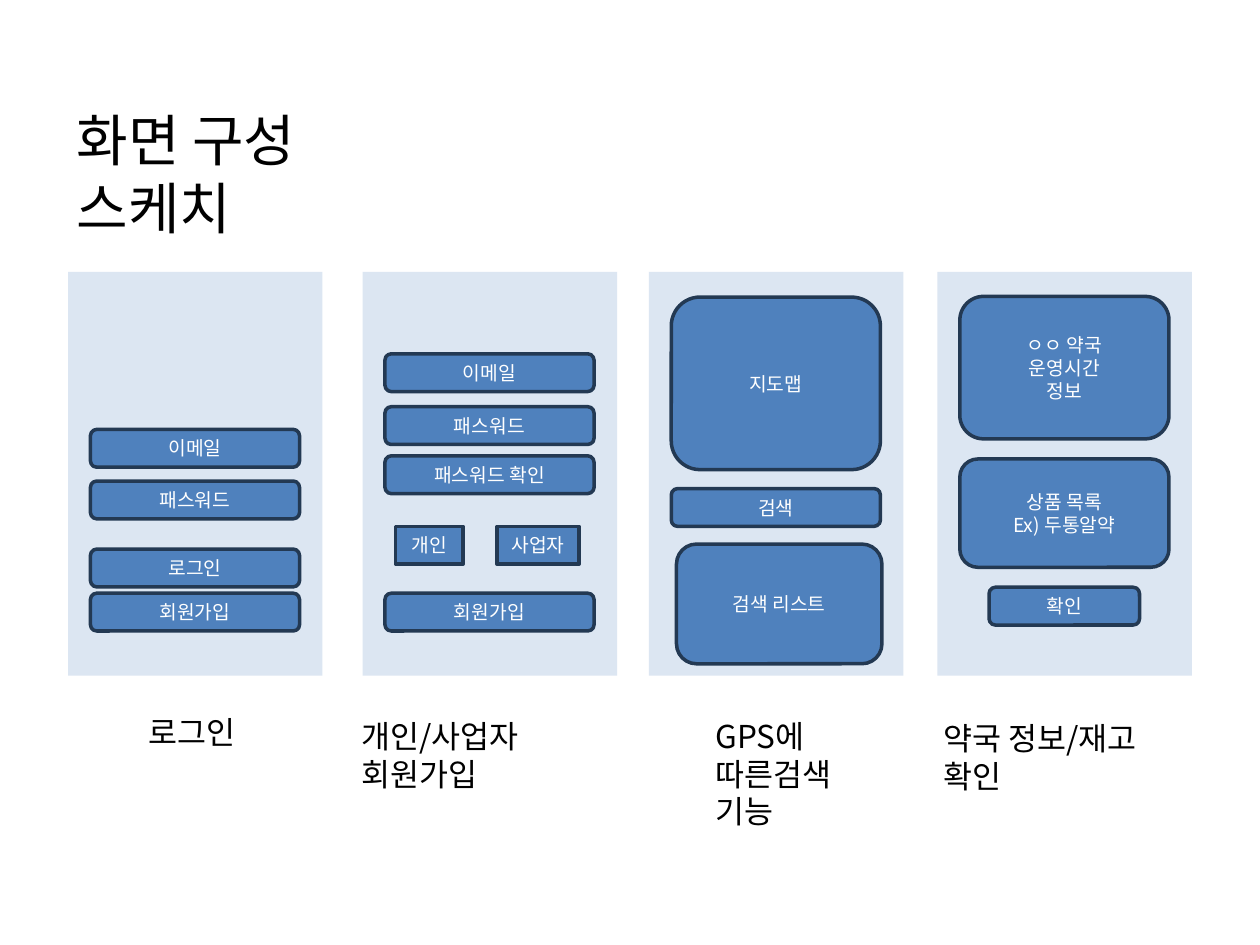
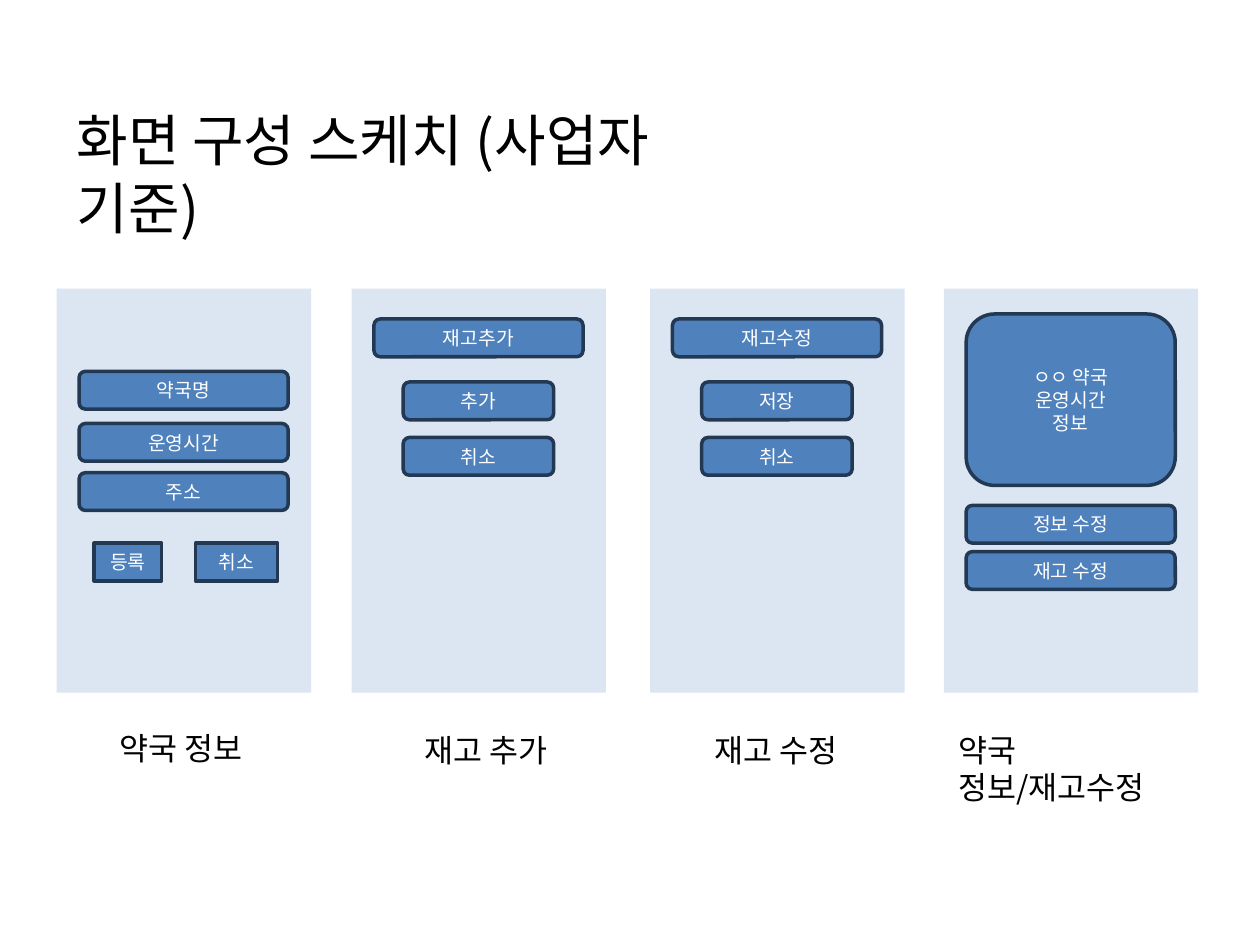
from lxml.etree import SubElement
from pptx import Presentation
from pptx.dml.color import RGBColor
from pptx.enum.shapes import MSO_SHAPE as SHAPE
from pptx.enum.text import MSO_ANCHOR as ANCHOR, MSO_AUTO_SIZE as AUTO, PP_ALIGN as ALIGN
from pptx.oxml.ns import qn
from pptx.util import Pt

FONT = "Noto Sans CJK KR"
BLACK, WHITE = "000000", "FFFFFF"
PANEL, BUTTON, EDGE = "DCE6F2", "4F81BD", "233953"
PANEL_W, PANEL_H = 145.4, 230.8
BAR_X, BAR_W, BAR_H = 12.8, 119.5, 21.6


def rgb(hex_color):
    return RGBColor.from_string(hex_color)


def bar(text, y, x=BAR_X, w=BAR_W, h=BAR_H, kind=SHAPE.ROUNDED_RECTANGLE):
    """Describe a button, placed relative to its screen panel."""
    return text, x, y, w, h, kind


def pair(left, right, x):
    """Describe two square buttons side by side."""
    y = 145.4
    return [bar(left, y, x, 38.6, kind=SHAPE.RECTANGLE),
            bar(right, y, x + 58, 46.8, kind=SHAPE.RECTANGLE)]


def short_bar(text, y):
    return bar(text, y, 29.5, 86)


def stock_screen(title, action):
    return [bar(title, 17.3), short_bar(action, 53.3), short_bar("취소", 85)]


class Deck:
    def __init__(self):
        self.prs = Presentation()
        self.prs.slide_width, self.prs.slide_height = Pt(720), Pt(540)
        self.s = None

    def slide(self, title, title_width):
        self.s = self.prs.slides.add_slide(self.prs.slide_layouts[5])
        sp = self.s.shapes.title
        sp.left, sp.top, sp.width, sp.height = Pt(36.7), Pt(56.9), Pt(title_width), Pt(46)
        sp.text_frame.auto_size = AUTO.NONE
        self.set_text(sp.text_frame, title, 32, BLACK)

    def set_text(self, tf, text, size, color, align=ALIGN.LEFT, anchor=ANCHOR.TOP):
        tf.text = text
        tf.word_wrap = True
        tf.vertical_anchor = anchor
        for p in tf.paragraphs:
            p.alignment = align
            p.font.size = Pt(size)
            p.font.name = FONT
            p.font.color.rgb = rgb(color)
            east_asian = SubElement(p._p.pPr.find(qn("a:defRPr")), qn("a:ea"))
            east_asian.set("typeface", FONT)

    def block(self, shapes, kind, x, y, w, h, fill):
        sp = shapes.add_shape(kind, Pt(x), Pt(y), Pt(w), Pt(h))
        sp.shadow.inherit = False
        sp.fill.solid()
        sp.fill.fore_color.rgb = rgb(fill)
        sp.line.fill.background()
        return sp

    def button(self, shapes, text, x, y, w, h, kind):
        sp = self.block(shapes, kind, x, y, w, h, BUTTON)
        sp.line.color.rgb = rgb(EDGE)
        sp.line.width = Pt(2)
        tf = sp.text_frame
        tf.margin_left = tf.margin_right = 0
        self.set_text(tf, text, 11, WHITE, ALIGN.CENTER, ANCHOR.MIDDLE)

    def screen(self, left, top, buttons):
        shapes = self.s.shapes.add_group_shape().shapes
        self.block(shapes, SHAPE.RECTANGLE, left, top, PANEL_W, PANEL_H, PANEL)
        for text, x, y, w, h, kind in buttons:
            self.button(shapes, text, left + x, top + y, w, h, kind)

    def caption(self, text, x, y, w):
        sp = self.s.shapes.add_textbox(Pt(x), Pt(y), Pt(w), Pt(28.8))
        self.set_text(sp.text_frame, text, 18, BLACK)
        sp.text_frame.auto_size = AUTO.SHAPE_TO_FIT_TEXT


PHARMACY = "ㅇㅇ 약국\n운영시간\n정보"

# Each screen: panel left, caption (text, left, top, width), buttons
USER_SCREENS = [
    (38.9, ("로그인", 77.8, 403.9, 67.7),
     [bar("이메일", 90), bar("패스워드", 119.5), bar("로그인", 158.4), bar("회원가입", 183.6)]),
    (207.2, ("개인/사업자 회원가입", 199.4, 406.1, 169.9),
     [bar("이메일", 46.8), bar("패스워드", 77), bar("패스워드 확인", 105.1),
      *pair("개인", "사업자", 18.9), bar("회원가입", 183.6)]),
    (370.8, ("GPS에 따른검색 기능", 401.8, 406.1, 102.2),
     [bar("지도맵", 14.4, h=98.6), bar("검색", 123.8),
      bar("검색 리스트", 155.5, 15.8, 117.4, 68.4)]),
    (535.7, ("약국 정보/재고 확인", 532.1, 407.5, 153.4),
     [bar(PHARMACY, 14, h=81.4), bar("상품 목록\nEx) 두통알약", 106.9, h=61.9),
      short_bar("확인", 180.2)]),
]

OWNER_SCREENS = [
    (32.4, ("약국 정보", 61.2, 413.3, 87.8),
     [bar("약국명", 47.2), bar("운영시간", 77), bar("주소", 105.1), *pair("등록", "취소", 21.4)]),
    (200.9, ("재고 추가", 235.4, 414, 87.8), stock_screen("재고추가", "추가")),
    (371.5, ("재고 수정", 401, 414, 87.8), stock_screen("재고수정", "저장")),
    (539.3, ("약국 정보/재고수정", 540.7, 414, 144.7),
     [bar(PHARMACY, 14.4, h=98), bar("정보 수정", 123.8), bar("재고 수정", 150.2)]),
]

SLIDES = [
    ("화면 구성 스케치", 221, 155.4, USER_SCREENS),
    ("화면 구성 스케치 (사업자 기준)", 378.7, 165, OWNER_SCREENS),
]


def main():
    deck = Deck()
    for title, title_width, top, screens in SLIDES:
        deck.slide(title, title_width)
        for left, caption, buttons in screens:
            deck.screen(left, top, buttons)
            deck.caption(*caption)
    deck.prs.save("out.pptx")


if __name__ == "__main__":
    main()
